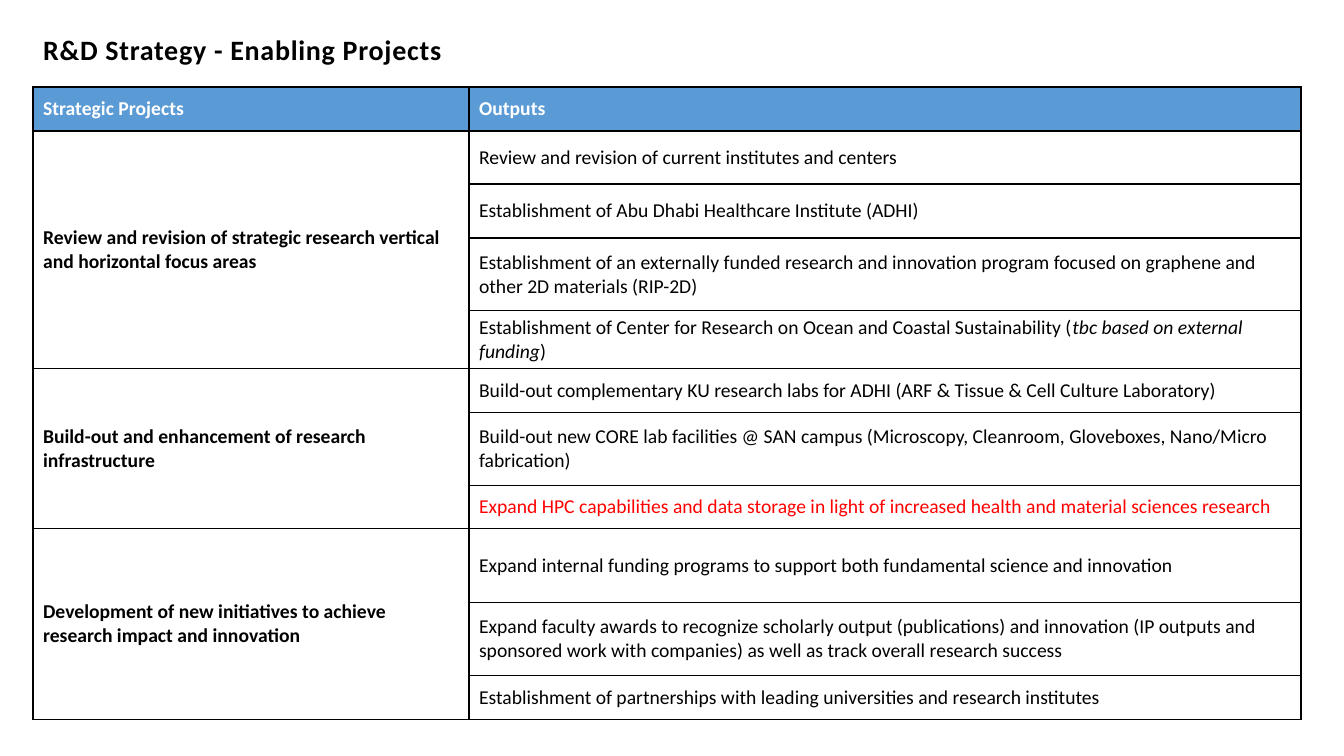
from lxml import etree
from pptx import Presentation
from pptx.dml.color import RGBColor
from pptx.enum.text import MSO_ANCHOR, PP_ALIGN
from pptx.oxml.ns import qn
from pptx.util import Pt

MIDDLE = MSO_ANCHOR.MIDDLE
LEFT = PP_ALIGN.LEFT
PX = 914400 / 100.8  # EMU in one px

THEME = {
    "font": "Calibri", "title_size": 20, "body_size": 14,
    "text": "000000", "header_text": "FFFFFF", "alert": "FF0000",
    "header_fill": "5B9BD5", "cell_fill": "FFFFFF", "border": "000000",
}


def px(n):
    return round(n * PX)


def add_text(p, text, size=THEME["body_size"], color=THEME["text"],
             bold=False, italic=False, spacing=None):
    p.alignment = LEFT
    r = p.add_run()
    r.text = text
    r.font.name = THEME["font"]
    r.font.size = Pt(size)
    r.font.bold = bold
    r.font.italic = italic
    r.font.color.rgb = RGBColor.from_string(color)
    if spacing:
        r.font._element.set("spc", str(spacing))


# Each project with its outputs: row height, then (text, format) runs
PROJECTS = [
    ("Review and revision of strategic research vertical and horizontal focus areas", [
        (53, [("Review and revision of current institutes and centers", {})]),
        (54, [("Establishment of Abu Dhabi Healthcare Institute (ADHI)", {})]),
        (73, [("Establishment of an externally funded research and innovation program "
               "focused on graphene and other 2D materials (RIP-2D)", {})]),
        (57, [("Establishment of Center for Research on Ocean and Coastal Sustainability (", {}),
              ("tbc based on external funding", {"italic": True}),
              (")", {})]),
    ]),
    ("Build-out and enhancement of research infrastructure", [
        (44, [("Build-out complementary KU research labs for ADHI "
               "(ARF & Tissue & Cell Culture Laboratory)", {})]),
        (73, [("Build-out new CORE lab facilities @ SAN campus "
               "(Microscopy, Cleanroom, Gloveboxes, Nano/Micro fabrication)", {})]),
        (43, [("Expand HPC capabilities and data storage in light of increased "
               "health and material sciences research", {"color": THEME["alert"]})]),
    ]),
    ("Development of new initiatives to achieve research impact and innovation", [
        (74, [("Expand internal funding programs to support both fundamental "
               "science and innovation", {})]),
        (73, [("Expand faculty awards to recognize scholarly output (publications) and "
               "innovation (IP outputs and sponsored work with companies) as well as "
               "track overall research success", {})]),
        (44, [("Establishment of partnerships with leading universities and "
               "research institutes", {})]),
    ]),
]
HEADERS = ["Strategic Projects", "Outputs"]
HEADER_HEIGHT = 44
COLUMN_WIDTHS = [436, 832]

prs = Presentation()
prs.slide_width, prs.slide_height = px(1344), px(756)
s = prs.slides.add_slide(prs.slide_layouts[5])

# Title
title = s.shapes.title
title.left, title.top, title.width, title.height = px(33), px(27), px(1162), px(44)
tf = title.text_frame
tf.word_wrap = True
tf.vertical_anchor = MIDDLE
add_text(tf.paragraphs[0], "R&D Strategy - Enabling Projects",
         size=THEME["title_size"], bold=True, spacing=50)

# Table grid
heights = [HEADER_HEIGHT] + [h for _, outputs in PROJECTS for h, _ in outputs]
table = s.shapes.add_table(len(heights), len(COLUMN_WIDTHS), px(33), px(87),
                           px(sum(COLUMN_WIDTHS)), px(sum(heights))).table
table.horz_banding = False
for column, width in zip(table.columns, COLUMN_WIDTHS):
    column.width = px(width)
for row, height in zip(table.rows, heights):
    row.height = px(height)

# Borders and fills
for i, row in enumerate(table.rows):
    for cell in row.cells:
        cell.vertical_anchor = MIDDLE
        tcPr = cell._tc.get_or_add_tcPr()
        for side in ("a:lnL", "a:lnR", "a:lnT", "a:lnB"):
            ln = etree.SubElement(tcPr, qn(side), w=str(Pt(1)))
            fill = etree.SubElement(ln, qn("a:solidFill"))
            etree.SubElement(fill, qn("a:srgbClr"), val=THEME["border"])
        cell.fill.solid()
        color = THEME["cell_fill"] if i else THEME["header_fill"]
        cell.fill.fore_color.rgb = RGBColor.from_string(color)

# Header row
for cell, header in zip(table.rows[0].cells, HEADERS):
    add_text(cell.text_frame.paragraphs[0], header, color=THEME["header_text"], bold=True)

# Projects, each merged down the rows of its outputs
first = 1
for project, outputs in PROJECTS:
    cell = table.cell(first, 0)
    cell.merge(table.cell(first + len(outputs) - 1, 0))
    add_text(cell.text_frame.paragraphs[0], project, bold=True)
    for i, (_, runs) in enumerate(outputs, first):
        for text, style in runs:
            add_text(table.cell(i, 1).text_frame.paragraphs[0], text, **style)
    first += len(outputs)

prs.save("out.pptx")
